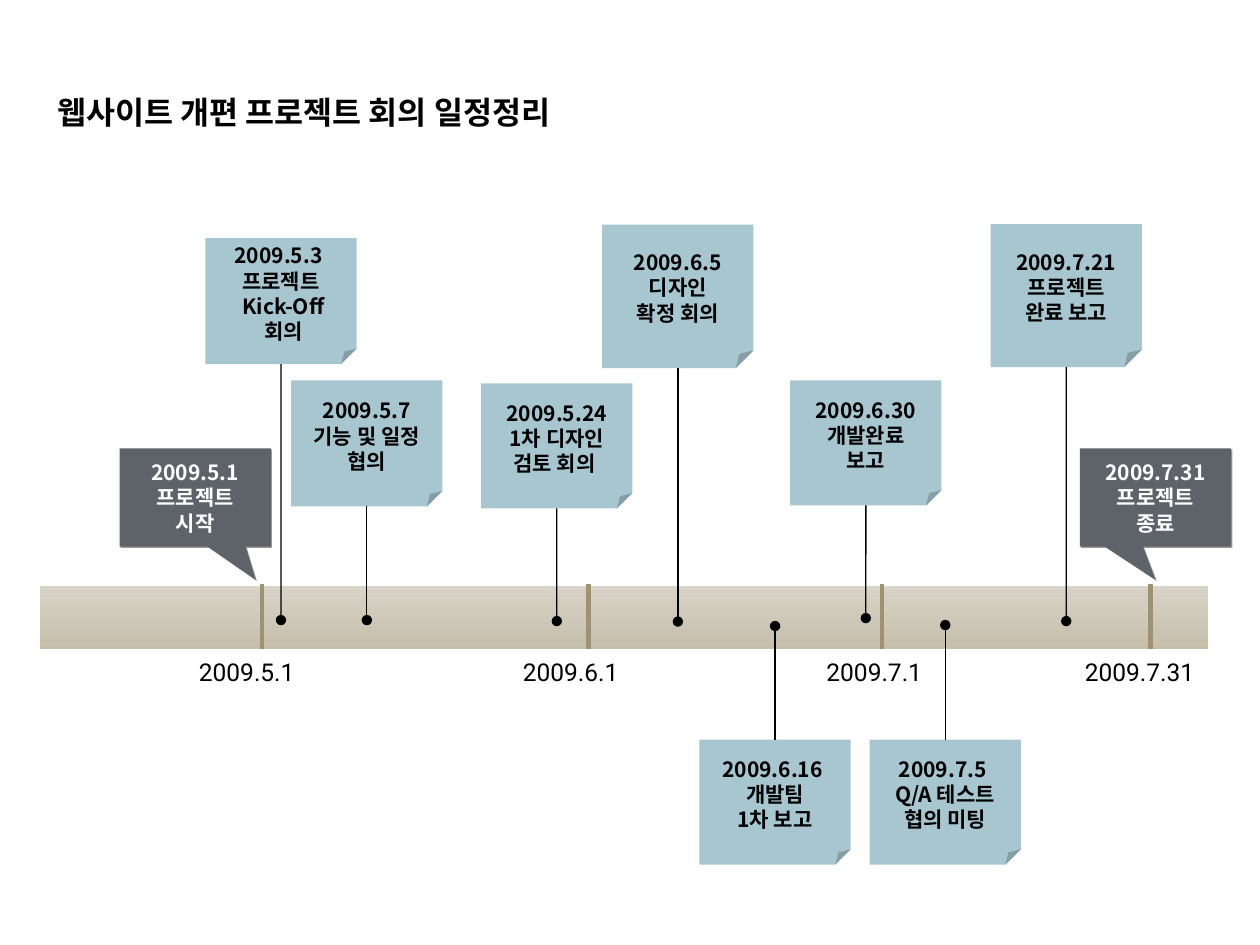
from lxml.etree import SubElement
from pptx import Presentation
from pptx.dml.color import RGBColor
from pptx.enum.shapes import MSO_CONNECTOR as Line, MSO_SHAPE as Shape
from pptx.enum.text import MSO_ANCHOR as Anchor, PP_ALIGN as Align
from pptx.oxml.ns import qn
from pptx.util import Cm, Pt

COLORS = {"band_top": "D8D3C7", "band_bottom": "C5BEAB", "tick": "9E9273",
          "note": "A8C6D0", "callout": "5E636A", "black": "000000", "white": "FFFFFF"}
KOREAN, LATIN = "Noto Sans CJK KR", "Roboto"

TITLE = "웹사이트 개편 프로젝트 회의 일정정리"

# Milestones: date, tick x, label left (cm)
MILESTONES = [("2009.5.1", 5.28, 3.76), ("2009.6.1", 11.86, 10.29),
              ("2009.7.1", 17.78, 16.41), ("2009.7.31", 23.19, 21.62)]

# Meetings: paragraphs, left, top, height, y of the dot on the band (cm)
MEETINGS = [
    (["2009.5.7", "기능 및 일정", "협의"], 5.87, 7.67, 2.54, 12.5),
    (["2009.5.24", "1차 디자인\n검토 회의 "], 9.70, 7.73, 2.52, 12.52),
    (["2009.6.5", "디자인\n확정 회의"], 12.14, 4.53, 2.89, 12.53),
    (["2009.6.16 ", "개발팀\n1차 보고"], 14.1, 14.91, 2.52, 12.62),
    (["2009.5.3 ", "프로젝트\n Kick-Off\n 회의"], 4.14, 4.8, 2.54, 12.5),
    (["2009.7.5 ", "Q/A 테스트\n협의 미팅"], 17.53, 14.91, 2.52, 12.6),
    (["2009.7.21", "프로젝트\n완료 보고"], 19.97, 4.52, 2.88, 12.52),
    (["2009.6.30", "개발완료\n보고"], 15.93, 7.67, 2.52, 12.46),
]

# Callouts: paragraphs, left (cm), horizontal reach of the pointer
CALLOUTS = [(["2009.5.1\n프로젝트\n시작"], 2.41, 0.4),
            (["2009.7.31", "프로젝트\n종료"], 21.77, 0)]

BAND_LEFT, BAND_TOP, BAND_WIDTH, BAND_HEIGHT = 0.8, 11.81, 23.55, 1.28
NOTE_WIDTH = 3.05
CALLOUT_TOP, CALLOUT_HEIGHT = 9.04, 1.98


def color(name):
    return RGBColor.from_string(COLORS[name])


def write(shape, paragraphs, size, font, ink="black", bold=False,
          align=Align.LEFT, anchor=Anchor.MIDDLE):
    frame = shape.text_frame
    frame.word_wrap = True
    frame.vertical_anchor = anchor
    for index, text in enumerate(paragraphs):
        para = frame.paragraphs[0] if index == 0 else frame.add_paragraph()
        para.alignment = align
        for number, line in enumerate(text.split("\n")):
            if number:
                para.add_line_break()
            span = para.add_run()
            span.text = line
            span.font.size, span.font.bold = Pt(size), bold
            span.font.color.rgb = color(ink)
            span.font.name = font
            SubElement(span.font._element, qn("a:ea"), typeface=font)


def add_box(kind, left, top, width, height, fill=None):
    box = slide.shapes.add_shape(kind, Cm(left), Cm(top), Cm(width), Cm(height))
    box.shadow.inherit = False
    box.line.fill.background()
    if fill:
        box.fill.solid()
        box.fill.fore_color.rgb = color(fill)
    return box


def add_line(x1, y1, x2, y2, ink, width):
    line = slide.shapes.add_connector(Line.STRAIGHT, Cm(x1), Cm(y1), Cm(x2), Cm(y2))
    line.line.color.rgb = color(ink)
    line.line.width = Pt(width)
    SubElement(line._element.spPr, qn("a:effectLst"))
    return line


def set_fold(note):
    guides = note._element.spPr.find(qn("a:prstGeom")).get_or_add_avLst()
    for guide in list(guides):
        guides.remove(guide)
    SubElement(guides, qn("a:gd"), name="adj", fmla="val 12300")


def add_shadow(box):
    effects = box._element.spPr.find(qn("a:effectLst"))
    shadow = SubElement(effects, qn("a:outerShdw"), dist="12700", dir="2700000",
                        algn="tl", rotWithShape="0")
    tint = SubElement(shadow, qn("a:srgbClr"), val=COLORS["black"])
    SubElement(tint, qn("a:alpha"), val="40000")


deck = Presentation()
deck.slide_width, deck.slide_height = Cm(25.4), Cm(19.05)
slide = deck.slides.add_slide(deck.slide_layouts[5])

# Title
title = slide.shapes.title
title.left, title.top, title.width, title.height = Cm(0.91), Cm(1.75), Cm(12.04), Cm(1.02)
write(title, [TITLE], 18, KOREAN, bold=True)

# Timeline band
band = add_box(Shape.RECTANGLE, BAND_LEFT, BAND_TOP, BAND_WIDTH, BAND_HEIGHT)
band.fill.gradient()
band.fill.gradient_angle = 270
for stop, name, position in zip(band.fill.gradient_stops, ("band_top", "band_bottom"), (0, 1)):
    stop.color.rgb = color(name)
    stop.position = position

# Milestone ticks and dates
for date, tick, left in MILESTONES:
    add_line(tick, BAND_TOP - 0.03, tick, BAND_TOP + BAND_HEIGHT, "tick", 2.75)
    label = slide.shapes.add_textbox(Cm(left), Cm(13.12), Cm(2.82), Cm(0.86))
    write(label, [date], 14, LATIN, anchor=Anchor.TOP)

# Meeting notes, each tied to a dot on the band
for paragraphs, left, top, height, dot in MEETINGS:
    note = add_box(Shape.FOLDED_CORNER, left, top, NOTE_WIDTH, height, "note")
    set_fold(note)
    write(note, paragraphs, 12, KOREAN, bold=True, align=Align.CENTER)
    center = left + NOTE_WIDTH / 2
    above = top < dot
    edge = top + height if above else top
    stem = add_line(center, edge, center, dot, "black", 0.75)
    stem.begin_connect(note, 2 if above else 0)
    SubElement(stem.line._get_or_add_ln(), qn("a:tailEnd"), type="oval")

# Start and end callouts
for paragraphs, left, reach in CALLOUTS:
    callout = add_box(Shape.RECTANGULAR_CALLOUT, left, CALLOUT_TOP,
                      NOTE_WIDTH, CALLOUT_HEIGHT, "callout")
    callout.adjustments[0] = reach
    callout.adjustments[1] = 0.838
    add_shadow(callout)
    write(callout, paragraphs, 12, KOREAN, "white", True, Align.CENTER)

deck.save("out.pptx")
